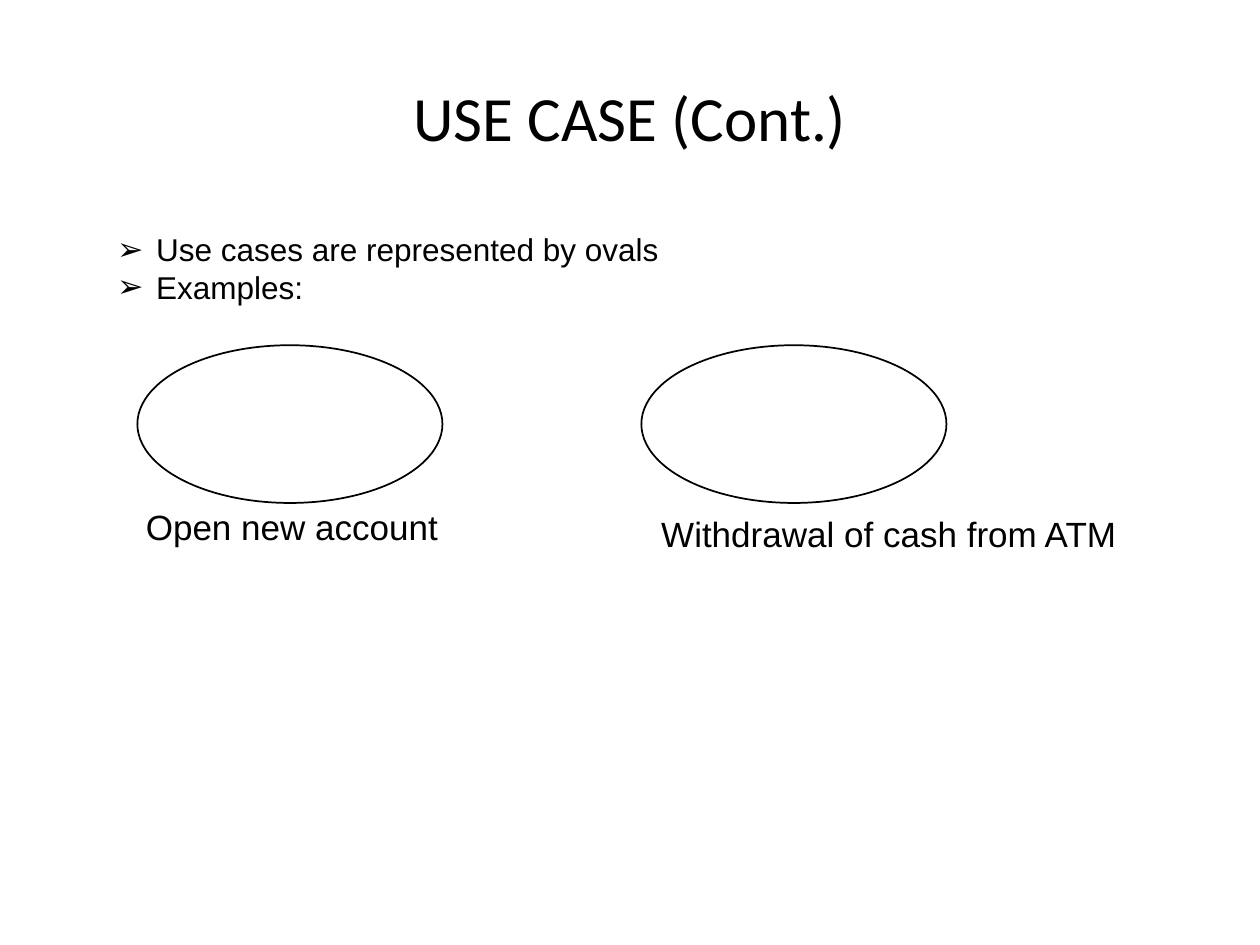
from dataclasses import dataclass

from lxml.etree import SubElement
from pptx import Presentation
from pptx.dml.color import RGBColor
from pptx.enum.shapes import MSO_SHAPE
from pptx.enum.text import MSO_ANCHOR, PP_ALIGN
from pptx.oxml.ns import qn
from pptx.util import Cm, Pt


@dataclass(frozen=True)
class Theme:
    ink: RGBColor = RGBColor(0, 0, 0)
    paper: RGBColor = RGBColor(255, 255, 255)
    title_font: str = "Calibri"
    body_font: str = "Arial"
    title_size: Pt = Pt(36)
    body_size: Pt = Pt(18)
    label_size: Pt = Pt(20)
    outline: Pt = Pt(1)


theme = Theme()


def style_text(paragraph, font_name, size):
    for run in paragraph.runs:
        run.font.name = font_name
        run.font.size = size
        run.font.color.rgb = theme.ink


def add_bullet(paragraph, symbol, indent):
    properties = paragraph._p.get_or_add_pPr()
    properties.set("marL", str(indent))
    properties.set("indent", str(-indent))
    SubElement(properties, qn("a:buFont"), typeface=theme.body_font)
    SubElement(properties, qn("a:buChar"), char=symbol)


deck = Presentation()
deck.slide_width, deck.slide_height = Cm(25.4), Cm(19.05)
slide = deck.slides.add_slide(deck.slide_layouts[5])
slide.background.fill.solid()
slide.background.fill.fore_color.rgb = theme.paper

# Title
title = slide.shapes.title
title.left, title.top, title.width, title.height = Cm(1.27), Cm(0.76), Cm(22.86), Cm(3.18)
title.text_frame.text = "USE CASE (Cont.)"
title.text_frame.vertical_anchor = MSO_ANCHOR.MIDDLE
heading = title.text_frame.paragraphs[0]
heading.alignment = PP_ALIGN.CENTER
style_text(heading, theme.title_font, theme.title_size)

# Use case ovals with their labels: oval left, label left, top and width, in cm
use_cases = [
    ("Open new account", 2.77, 2.69, 10.06, 6.76),
    ("Withdrawal of cash from ATM", 12.93, 13.08, 10.21, 9.83),
]
for name, oval_left, label_left, label_top, label_width in use_cases:
    oval = slide.shapes.add_shape(
        MSO_SHAPE.OVAL, Cm(oval_left), Cm(6.96), Cm(6.15), Cm(3.18))
    oval.shadow.inherit = False
    oval.fill.solid()
    oval.fill.fore_color.rgb = theme.paper
    oval.line.color.rgb = theme.ink
    oval.line.width = theme.outline

    label = slide.shapes.add_textbox(
        Cm(label_left), Cm(label_top), Cm(label_width), Cm(1.12))
    label.text_frame.word_wrap = True
    label.text_frame.text = name
    style_text(label.text_frame.paragraphs[0], theme.body_font, theme.label_size)

# Bulleted explanation
explanation = slide.shapes.add_textbox(Cm(2.11), Cm(4.52), Cm(22.2), Cm(2.57))
explanation.text_frame.word_wrap = True
explanation.text_frame.text = "Use cases are represented by ovals\nExamples:"
for point in explanation.text_frame.paragraphs:
    add_bullet(point, "➢", Cm(0.79))
    style_text(point, theme.body_font, theme.body_size)

deck.save("out.pptx")
